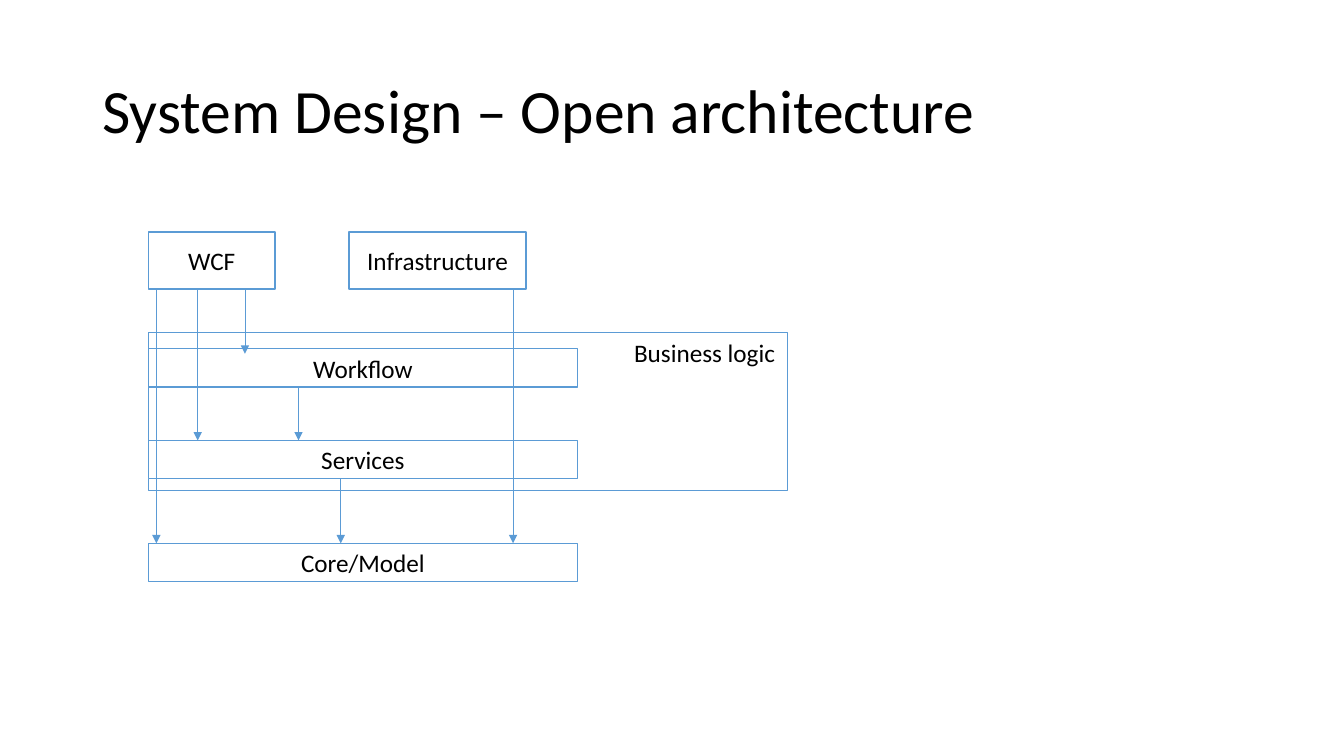
from lxml import etree
from pptx import Presentation
from pptx.dml.color import RGBColor
from pptx.enum.shapes import MSO_CONNECTOR, MSO_SHAPE
from pptx.enum.text import MSO_ANCHOR, PP_ALIGN
from pptx.oxml.ns import qn
from pptx.util import Pt

RECTANGLE = MSO_SHAPE.RECTANGLE
STRAIGHT = MSO_CONNECTOR.STRAIGHT
MIDDLE = MSO_ANCHOR.MIDDLE
LEFT, CENTER = PP_ALIGN.LEFT, PP_ALIGN.CENTER

COLORS = {"text": "000000", "fill": "FFFFFF", "line": "5B9BD5"}
FONT = "Calibri"
TITLE_ONLY = 5

CLIENT_HEIGHT = 40.8
LAYER_WIDTH, LAYER_HEIGHT = 306.7, 27.4
LOGIC_TOP, LOGIC_WIDTH, LOGIC_HEIGHT = 72, 456.5, 113
LABEL_WIDTH, LABEL_HEIGHT = 116.6, 29
LAYER_TOPS = {"Services": 149, "Core/Model": 222.5, "Workflow": 83.5}
CLIENTS = [("WCF", 0, 90.7), ("Infrastructure", 143.3, 126.7)]


def color(name):
    return RGBColor.from_string(COLORS[name])


def write(shape, text, size, alignment):
    shape.text_frame.text = text
    paragraph = shape.text_frame.paragraphs[0]
    paragraph.alignment = alignment
    font = paragraph.runs[0].font
    font.name, font.size = FONT, Pt(size)
    font.color.rgb = color("text")
    return paragraph


def add_title(slide, text, left, top, width, height):
    title = slide.shapes.title
    title.left, title.top = Pt(left), Pt(top)
    title.width, title.height = Pt(width), Pt(height)
    title.text_frame.vertical_anchor = MIDDLE
    write(title, text, 44, LEFT).line_spacing = 0.9


def add_box(slide, left, top, width, height, text=None):
    box = slide.shapes.add_shape(RECTANGLE, Pt(left), Pt(top), Pt(width), Pt(height))
    box.shadow.inherit = False
    box.fill.solid()
    box.fill.fore_color.rgb = color("fill")
    box.line.color.rgb = color("line")
    box.line.width = Pt(1)
    if text:
        box.text_frame.vertical_anchor = MIDDLE
        write(box, text, 18, CENTER)


def add_down_arrow(slide, x, start, end):
    arrow = slide.shapes.add_connector(STRAIGHT, Pt(x), Pt(start), Pt(x), Pt(end))
    arrow.line.color.rgb = color("line")
    arrow.line.width = Pt(0.5)
    properties = arrow.element.spPr
    etree.SubElement(properties.find(qn("a:ln")), qn("a:tailEnd"), type="triangle")
    etree.SubElement(properties, qn("a:effectLst"))


def add_architecture(slide, left, top):
    for name, offset, width in CLIENTS:
        add_box(slide, left + offset, top, width, CLIENT_HEIGHT, name)

    add_box(slide, left, top + LOGIC_TOP, LOGIC_WIDTH, LOGIC_HEIGHT)
    for name, offset in LAYER_TOPS.items():
        add_box(slide, left, top + offset, LAYER_WIDTH, LAYER_HEIGHT, name)

    label = slide.shapes.add_textbox(
        Pt(left + LOGIC_WIDTH - LABEL_WIDTH), Pt(top + LOGIC_TOP),
        Pt(LABEL_WIDTH), Pt(LABEL_HEIGHT))
    write(label, "Business logic", 18, LEFT)

    workflow, services, core = (
        LAYER_TOPS[name] for name in ("Workflow", "Services", "Core/Model"))
    arrows = [
        (69.1, CLIENT_HEIGHT, workflow + 3.6),
        (5.8, CLIENT_HEIGHT, core),
        (260.6, CLIENT_HEIGHT, core),
        (107.3, workflow + LAYER_HEIGHT, services),
        (137.5, services + LAYER_HEIGHT, core),
        (35.3, CLIENT_HEIGHT, services),
    ]
    for x, start, end in arrows:
        add_down_arrow(slide, left + x, top + start, top + end)


def main():
    presentation = Presentation()
    presentation.slide_width, presentation.slide_height = Pt(960), Pt(540)
    slide = presentation.slides.add_slide(presentation.slide_layouts[TITLE_ONLY])
    add_title(slide, "System Design – Open architecture", 66, 28.8, 828, 104.4)
    add_architecture(slide, 105.9, 165.6)
    presentation.save("out.pptx")


if __name__ == "__main__":
    main()
